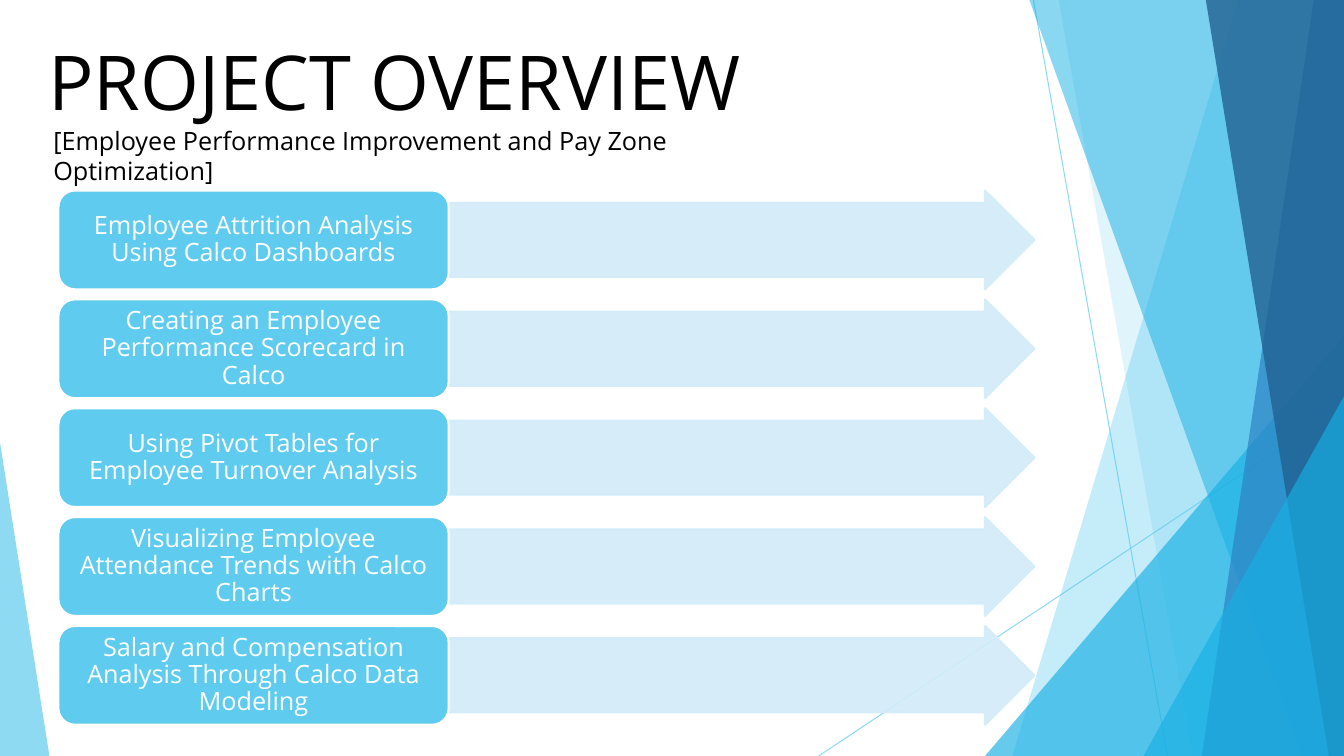
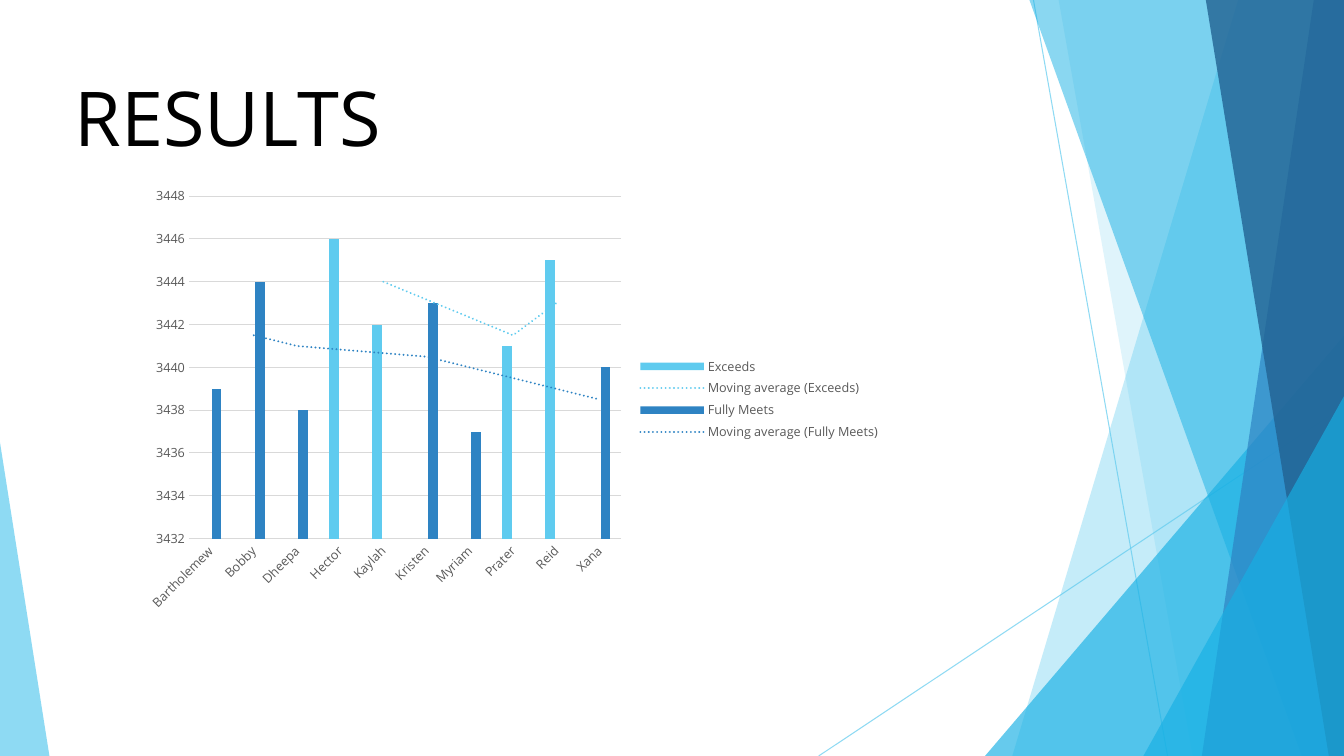
import dataclasses

import pptx
import pptx.chart.data
import pptx.dml.color
import pptx.enum.chart
import pptx.enum.shapes
import pptx.enum.text
import pptx.oxml
import pptx.oxml.ns
import pptx.util


@dataclasses.dataclass(frozen=True)
class Theme:
    font: str = "Open Sans"
    sky: str = "5FCBEF"
    cyan: str = "17B0E4"
    blue: str = "2E83C3"
    navy: str = "226292"
    pale: str = "D2ECF9"
    white: str = "FFFFFF"
    black: str = "000000"
    label: str = "595959"
    grid: str = "D9D9D9"
    title_size: int = 54
    text_size: int = 18
    label_size: int = 9


T = Theme()
RGB = pptx.dml.color.RGBColor.from_string
SHAPE = pptx.enum.shapes.MSO_SHAPE
qn = pptx.oxml.ns.qn


def paint(sp, fill=None, line=None, width=0.75, alpha=100):
    """Set fill, outline and opacity of a shape or connector, without shadow."""
    if fill:
        sp.fill.solid()
        sp.fill.fore_color.rgb = RGB(fill)
    if line:
        sp.line.color.rgb = RGB(line)
        sp.line.width = pptx.util.Pt(width)
    else:
        sp.line.fill.background()
    sp_pr = sp.element.find(qn("p:spPr"))
    if alpha < 100:
        for color in sp_pr.iter(qn("a:srgbClr")):
            color.append(pptx.oxml.parse_xml(
                f'<a:alpha {pptx.oxml.ns.nsdecls("a")} val="{alpha * 1000}"/>'))
    sp_pr.append(pptx.oxml.parse_xml(f'<a:effectLst {pptx.oxml.ns.nsdecls("a")}/>'))


def style(font, size, color):
    font.name = T.font
    font.size = pptx.util.Pt(size)
    font.color.rgb = RGB(color)


prs = pptx.Presentation()
prs.slide_width = pptx.util.Inches(13.33)
prs.slide_height = pptx.util.Inches(7.5)
master = prs.slide_master
layout = prs.slide_layouts.get_by_name("Title Only")

# Master placeholders stretched to the wide page
for holder in [*master.placeholders, *layout.placeholders]:
    box = [int(holder.left * 4 / 3), holder.top, int(holder.width * 4 / 3), holder.height]
    holder.left, holder.top, holder.width, holder.height = box

# Title style, shared by both slides
for holder in master.placeholders:
    if holder.placeholder_format.type == pptx.enum.shapes.PP_PLACEHOLDER.TITLE:
        holder.text_frame.vertical_anchor = pptx.enum.text.MSO_ANCHOR.TOP
        holder.text_frame.auto_size = pptx.enum.text.MSO_AUTO_SIZE.NONE
level = master.element.find(".//" + qn("p:titleStyle")).find(qn("a:lvl1pPr"))
level.set("algn", "l")
run_style = level.find(qn("a:defRPr"))
run_style.set("sz", str(T.title_size * 100))
run_style.find(qn("a:latin")).set("typeface", T.font)

# Slides and their titles
slides = []
for text, left, top, width in [("PROJECT OVERVIEW", 0.38, 0.3, 7.81),
                               ("RESULTS", 0.64, 0.65, 7.59)]:
    s = prs.slides.add_slide(layout)
    title = s.shapes.title
    title.left, title.top = pptx.util.Inches(left), pptx.util.Inches(top)
    title.width, title.height = pptx.util.Inches(width), pptx.util.Inches(1.01)
    title.text_frame.text = text
    slides.append(s)
overview, results = slides

# Faceted backdrop: thin lines, then translucent bands and triangles
backdrop = overview.shapes.add_group_shape()
for ends in [(10.25, 0, 11.58, 7.5), (13.33, 4.03, 8.12, 7.5)]:
    line = backdrop.shapes.add_connector(
        pptx.enum.shapes.MSO_CONNECTOR.STRAIGHT, *map(pptx.util.Inches, ends))
    paint(line, line=T.sky, alpha=70)

# Bands: (top x, bottom x); they run to the right edge.
# Triangles: (left, top, width, apex position); they stand on the bottom edge.
facets = [
    ((12.28, 10.04), T.sky, 36),
    ((10.5, 11.83), T.sky, 20),
    ((9.77, 3.33, 3.56, 1), T.cyan, 66),
    ((10.21, 12.91), T.cyan, 50),
    ((13.03, 11.92), T.blue, 70),
    ((11.96, 13.18), T.navy, 80),
    ((11.34, 3.93, 1.99, 1), T.cyan, 66),
    ((0, 4.39, 0.49, 0), T.sky, 70),
]
for geometry, color, alpha in facets:
    if len(geometry) == 2:
        top_x, bottom_x = map(pptx.util.Inches, geometry)
        outline = backdrop.shapes.build_freeform(top_x, 0)
        outline.add_line_segments([(prs.slide_width, 0),
                                   (prs.slide_width, prs.slide_height),
                                   (bottom_x, prs.slide_height)], close=True)
        sp = outline.convert_to_shape()
    else:
        left, top, width, apex = geometry
        sp = backdrop.shapes.add_shape(
            SHAPE.ISOSCELES_TRIANGLE,
            *map(pptx.util.Inches, (left, top, width, 7.5 - top)))
        sp.adjustments[0] = apex
    paint(sp, fill=color, alpha=alpha)

# The backdrop belongs to the master, behind its placeholders
for number, props in enumerate(backdrop.element.iter(qn("p:cNvPr")), 100):
    props.set("id", str(number))
master.shapes.element.insert(2, backdrop.element)

# Overview: subtitle
subtitle = overview.shapes.add_textbox(*map(pptx.util.Inches, (0.43, 1.19, 7.85, 0.4)))
tf = subtitle.text_frame
tf.word_wrap = True
tf.text = "[Employee Performance Improvement and Pay Zone Optimization]"
style(tf.paragraphs[0].runs[0].font, T.text_size, T.black)

# Overview: one card and arrow per topic
topics = [
    "Employee Attrition Analysis Using Calco Dashboards",
    "Creating an Employee Performance Scorecard in Calco",
    "Using Pivot Tables for Employee Turnover Analysis",
    "Visualizing Employee Attendance Trends with Calco Charts",
    "Salary and Compensation Analysis Through Calco Data Modeling",
]
for row, topic in enumerate(topics):
    top = 1.89 + 1.08 * row
    arrow = overview.shapes.add_shape(
        SHAPE.RIGHT_ARROW, *map(pptx.util.Inches, (4.45, top, 5.81, 0.98)))
    arrow.adjustments[0], arrow.adjustments[1] = 0.75, 0.5
    paint(arrow, fill=T.pale, line=T.pale, width=1.5, alpha=90)

    card = overview.shapes.add_shape(
        SHAPE.ROUNDED_RECTANGLE, *map(pptx.util.Inches, (0.58, top, 3.87, 0.98)))
    paint(card, fill=T.sky, line=T.white, width=1.5)
    tf = card.text_frame
    tf.word_wrap = True
    tf.margin_left = tf.margin_right = pptx.util.Inches(0.07)
    tf.margin_top = tf.margin_bottom = pptx.util.Inches(0.04)
    tf.vertical_anchor = pptx.enum.text.MSO_ANCHOR.MIDDLE
    tf.text = topic
    p = tf.paragraphs[0]
    p.alignment = pptx.enum.text.PP_ALIGN.CENTER
    p.line_spacing = 0.9
    style(p.runs[0].font, T.text_size, T.white)

# Results: clustered columns
data = pptx.chart.data.CategoryChartData()
data.categories = ["Bartholemew", "Bobby", "Dheepa", "Hector", "Kaylah",
                   "Kristen", "Myriam", "Prater", "Reid", "Xana"]
data.add_series("Exceeds", [None, None, None, 3446, 3442,
                            None, None, 3441, 3445, None])
data.add_series("Fully Meets", [3439, 3444, 3438, None, None,
                                3443, 3437, None, None, 3440])
chart = results.shapes.add_chart(
    pptx.enum.chart.XL_CHART_TYPE.COLUMN_CLUSTERED,
    *map(pptx.util.Inches, (1.32, 1.77, 7.51, 4.38)), data).chart
chart.has_title = False
style(chart.font, 10, T.black)
chart.has_legend = True
chart.legend.position = pptx.enum.chart.XL_LEGEND_POSITION.RIGHT
chart.legend.include_in_layout = False
style(chart.legend.font, T.label_size, T.label)

# Results: axes
for axis in (chart.category_axis, chart.value_axis):
    axis.major_tick_mark = axis.minor_tick_mark = pptx.enum.chart.XL_TICK_MARK.NONE
    style(axis.tick_labels.font, T.label_size, T.label)
value_axis = chart.value_axis
value_axis.minimum_scale, value_axis.maximum_scale = 3432, 3448
value_axis.major_unit = 2
value_axis.format.line.fill.background()
for line in (chart.category_axis.format.line, value_axis.major_gridlines.format.line):
    line.color.rgb = RGB(T.grid)
    line.width = pptx.util.Pt(0.75)
cat_text = chart.element.find(".//" + qn("c:catAx")).find(qn("c:txPr"))
cat_text.find(qn("a:bodyPr")).set("rot", "-2700000")

# Results: column colours and moving averages
plot = chart.plots[0]
plot.vary_by_categories = False
plot.gap_width = 219
plot.overlap = -27
for series, element, color in zip(plot.series, chart.element.iter(qn("c:ser")),
                                  (T.sky, T.blue)):
    series.format.fill.solid()
    series.format.fill.fore_color.rgb = RGB(color)
    series.invert_if_negative = False
    element.find(qn("c:cat")).addprevious(pptx.oxml.parse_xml(
        f'<c:trendline {pptx.oxml.ns.nsdecls("c", "a")}>'
        f'<c:name>Moving average ({series.name})</c:name>'
        f'<c:spPr><a:ln w="19050" cap="rnd"><a:solidFill><a:srgbClr val="{color}"/>'
        '</a:solidFill><a:prstDash val="sysDot"/></a:ln></c:spPr>'
        '<c:trendlineType val="movingAvg"/><c:period val="2"/>'
        '<c:dispRSqr val="0"/><c:dispEq val="0"/></c:trendline>'))

prs.save("out.pptx")
